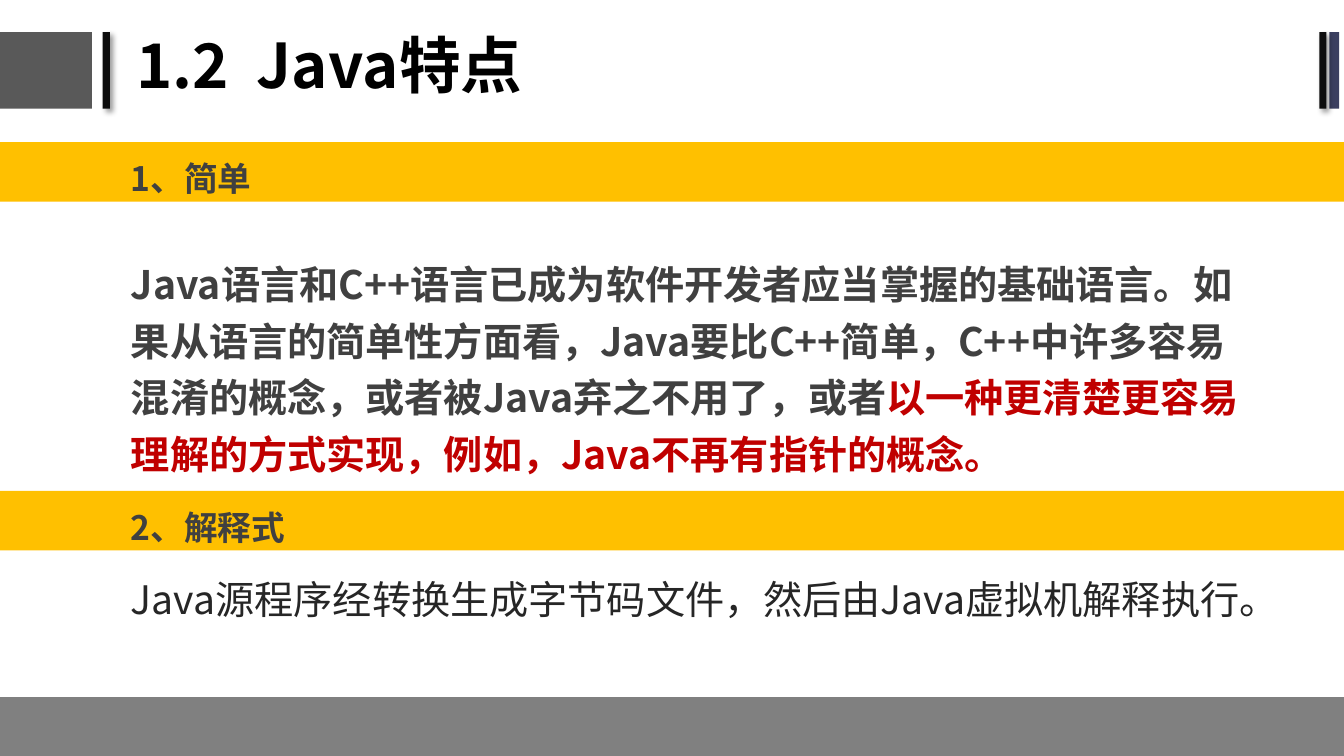
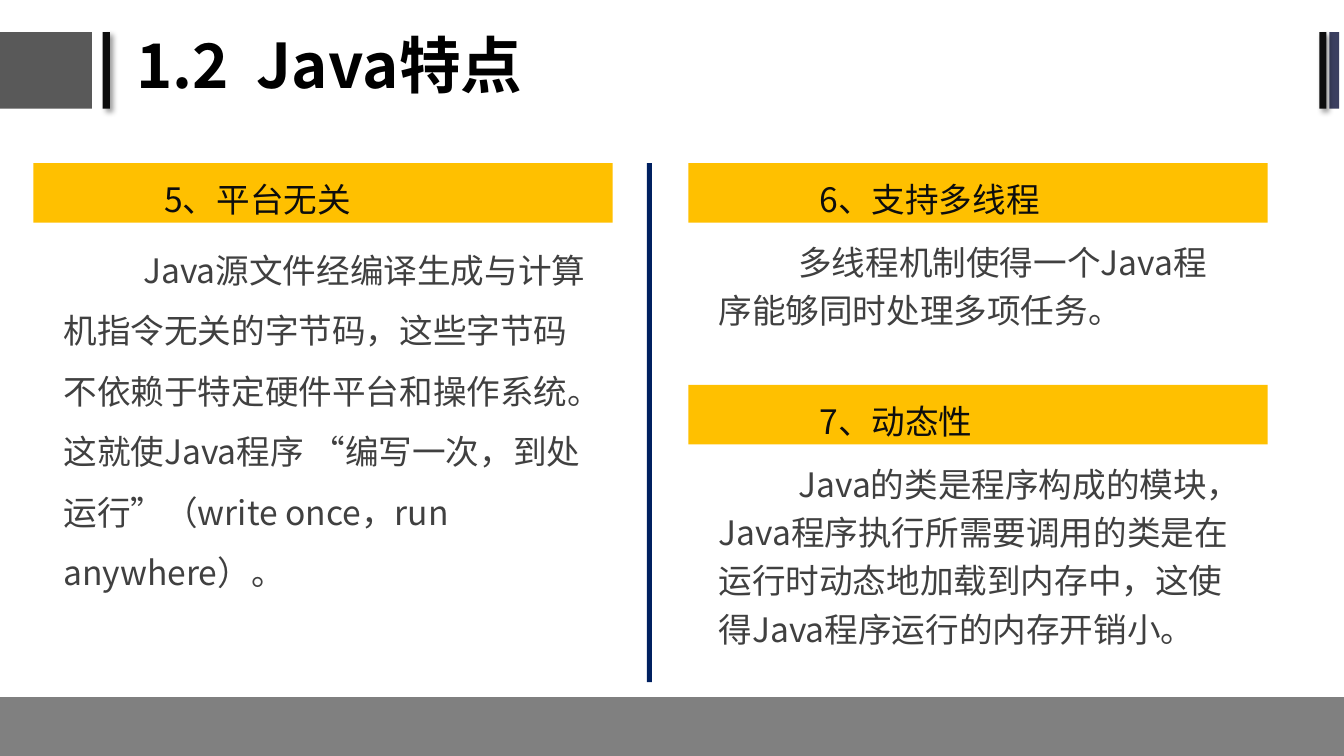
from lxml import etree
from pptx import Presentation
from pptx.dml.color import RGBColor
from pptx.enum.shapes import MSO_SHAPE
from pptx.enum.text import MSO_ANCHOR, MSO_AUTO_SIZE, PP_ALIGN
from pptx.oxml.ns import qn
from pptx.util import Cm, Pt

FONT = "Noto Sans CJK SC"
COLORS = {
    "band": "FFC000", "footer": "808080", "block": "595959", "bar": "0D0D0D",
    "edge": "3B3F60", "divider": "002060", "title": "000000", "heading": "0D0D0D",
    "body": "404040", "dark": "262626", "accent": "C00000",
}
SLIDE_W, SLIDE_H = 33.87, 19.05
BAND_H = 1.5
HEADING_INDENT = 2.97


class Deck:
    """Holds the style and the current slide; all lengths are in centimetres."""

    def __init__(self):
        self.prs = Presentation()
        self.prs.slide_width, self.prs.slide_height = Cm(SLIDE_W), Cm(SLIDE_H)
        self.layout = self.prs.slide_layouts[5]
        self.s = None

    def slide(self, title):
        first = self.s is None
        self.s = self.prs.slides.add_slide(self.layout)
        if first:
            self.frame()
        sp = self.s.shapes.title
        sp.left, sp.top, sp.width, sp.height = Cm(3.18), Cm(0), Cm(28.58), Cm(3.43)
        tf = sp.text_frame
        tf.auto_size = MSO_AUTO_SIZE.NONE
        tf.vertical_anchor = MSO_ANCHOR.MIDDLE
        p = tf.paragraphs[0]
        p.alignment, p.line_spacing = PP_ALIGN.LEFT, 0.9
        self.run(p, title, 44, "title", True)

    def frame(self):
        """Draw the shared decoration once and move it to the layout."""
        top, height = 0.81, 1.93
        parts = [
            self.rect(0, top, 2.32, height, "block"),
            self.shadow(self.rect(2.59, top, 0.18, height, "bar")),
            self.rect(33.5, top, 0.25, height, "edge"),
            self.shadow(self.rect(33.25, top, 0.18, height, "bar")),
            self.rect(0, 17.57, SLIDE_W, SLIDE_H - 17.57, "footer"),
        ]
        for sp in parts:
            self.layout.shapes.element.append(sp.element)

    def rect(self, x, y, w, h, color):
        sp = self.s.shapes.add_shape(MSO_SHAPE.RECTANGLE, Cm(x), Cm(y), Cm(w), Cm(h))
        sp.shadow.inherit = False
        sp.fill.solid()
        sp.fill.fore_color.rgb = RGBColor.from_string(COLORS[color])
        sp.line.fill.background()
        return sp

    def shadow(self, sp):
        effects = sp.element.spPr.find(qn("a:effectLst"))
        outer = etree.SubElement(effects, qn("a:outerShdw"), blurRad=str(Pt(4)),
                                 dist=str(Pt(3)), dir="2700000", rotWithShape="0")
        color = etree.SubElement(outer, qn("a:srgbClr"), val="000000")
        etree.SubElement(color, qn("a:alpha"), val="40000")
        return sp

    def run(self, p, text, size, color, bold=False):
        r = p.add_run()
        r.text = text
        r.font.size, r.font.bold, r.font.name = Pt(size), bold, FONT
        r.font.color.rgb = RGBColor.from_string(COLORS[color])
        etree.SubElement(r.font._element, qn("a:ea"), typeface=FONT)

    def text(self, x, y, w, h, runs, size, bold=False, spacing=1.2, indent=0):
        """Add one paragraph made of (text, colour) runs."""
        tf = self.s.shapes.add_textbox(Cm(x), Cm(y), Cm(w), Cm(h)).text_frame
        tf.word_wrap = True
        tf.margin_left = tf.margin_right = Cm(0.33)
        tf.margin_top = tf.margin_bottom = Cm(0.18)
        p = tf.paragraphs[0]
        p.line_spacing, p.space_before = spacing, Pt(size * 0.2)
        if indent:
            p._p.get_or_add_pPr().set("indent", str(Cm(indent)))
        for text, color in runs:
            self.run(p, text, size, color, bold)

    def band(self, x, y, w, heading, color="heading", bold=False):
        self.rect(x, y, w, BAND_H, "band")
        self.text(x + HEADING_INDENT, y + 0.02, w - HEADING_INDENT, BAND_H,
                  [(heading, color)], 24, bold)


def main():
    deck = Deck()
    title = "1.2  Java特点"

    # Full-width bands: simple, interpreted
    deck.slide(title)
    for y, heading in [(3.58, "1、简单"), (12.37, "2、解释式")]:
        deck.band(0, y, SLIDE_W, heading, "body", True)
    deck.text(2.97, 6.15, 28.78, 6.1, [
        ("Java语言和C++语言已成为软件开发者应当掌握的基础语言。如果从语言的简单性方面看，"
         "Java要比C++简单，C++中许多容易混淆的概念，或者被Java弃之不用了，或者", "body"),
        ("以一种更清楚更容易理解的方式实现，例如，Java不再有指针的概念。", "accent"),
    ], 28, True)
    deck.text(2.97, 14.07, 28.78, 3.2, [
        ("Java源程序经转换生成字节码文件，然后由Java虚拟机解释执行。", "dark"),
    ], 28)

    # Two columns: platform independence | threads, dynamics
    deck.slide(title)
    left, right, top, width, indent = 0.84, 17.35, 4.11, 14.6, 2.01
    deck.band(left, top, width, "5、平台无关")
    deck.text(1.27, top + BAND_H, 14.17, 10, [
        ("Java源文件经编译生成与计算机指令无关的字节码，这些字节码不依赖于特定硬件平台和"
         "操作系统。这就使Java程序 “编写一次，到处运行”（write once，run anywhere）。", "body"),
    ], 24, spacing=1.5, indent=indent)
    for y, h, heading, body in [
        (top, 3.43, "6、支持多线程", "多线程机制使得一个Java程序能够同时处理多项任务。"),
        (9.7, 5.5, "7、动态性", "Java的类是程序构成的模块，Java程序执行所需要调用的类是"
                   "在运行时动态地加载到内存中，这使得Java程序运行的内存开销小。"),
    ]:
        deck.band(right, y, width, heading)
        deck.text(17.78, y + 1.6, 13.54, h, [(body, "body")], 24, indent=indent)
    deck.rect(16.3, top, 0.13, 13.08, "divider")

    deck.prs.save("out.pptx")


if __name__ == "__main__":
    main()
